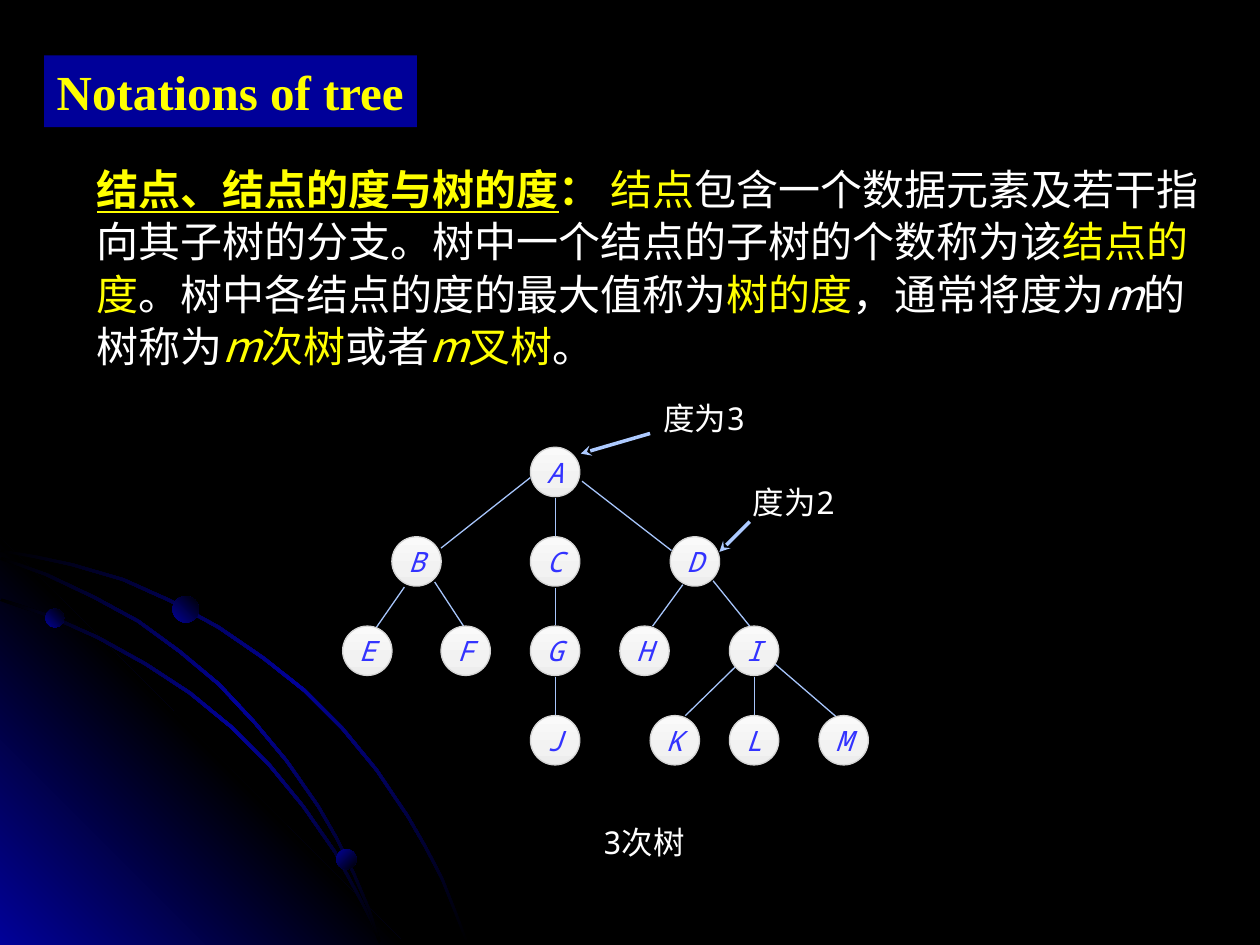
import pptx
import pptx.dml.color
import pptx.enum.shapes
import pptx.enum.text
import pptx.oxml
import pptx.oxml.ns
import pptx.util

Pt = pptx.util.Pt
qn = pptx.oxml.ns.qn
ALIGN = pptx.enum.text.PP_ALIGN
ANCHOR = pptx.enum.text.MSO_ANCHOR
SHAPE = pptx.enum.shapes.MSO_SHAPE
STRAIGHT = pptx.enum.shapes.MSO_CONNECTOR.STRAIGHT
NO_FIT = pptx.enum.text.MSO_AUTO_SIZE.NONE

YELLOW, WHITE, BLACK, BLUE = "FFFF00", "FFFFFF", "000000", "010199"
CJK, MONO, SERIF = "Noto Sans CJK SC", "Noto Sans Mono", "Times New Roman"

PITCH, NODE = 51.1, 28.2
# Left edge of each node, level by level
LEVELS = [
    {"A": 107.3},
    {"B": 28.1, "C": 107.3, "D": 187.2},
    {"E": 0, "F": 56.2, "G": 107.3, "H": 158.4, "I": 221},
    {"J": 107.3, "K": 175.7, "L": 221, "M": 272.2},
]
# Branches as x1, y1, x2, y2
BRANCHES = [
    (107.3, 17.3, 56.2, 57.6), (121.5, 28.8, 121.5, 51.1), (136.8, 19.4, 187.9, 59),
    (35.3, 79.9, 18.7, 103.7), (52.6, 77, 69.1, 102.2), (121.5, 80.6, 121.5, 101.5),
    (194.4, 78.5, 177.1, 102.2), (211.7, 76.3, 232.6, 102.2),
    (121.5, 131, 121.5, 153.4), (224.6, 125.3, 195.8, 153.4),
    (235.2, 131, 235.2, 153.4), (247, 123.8, 282.2, 154.1),
]
# Degree labels: wording, left and top of the label, arrow ends
DEGREES = [
    ("度为3", 164.2, -31, (175.7, -7.9, 136.1, 3.6)),
    ("度为2", 215.3, 16.6, (232.6, 42.5, 215.3, 59.8)),
]
ARCS = [
    [(0, 8.4), (20.2, 12), (40.3, 16.3), (69.8, 24.9), (97.2, 37.2), (124.6, 52.3),
     (149.8, 69.6), (173.5, 88.3), (195.1, 109.9), (214.6, 133.6), (232.6, 160.3),
     (242.6, 177.6), (252, 195.6), (259.2, 213.6), (266.4, 232.3)],
    [(0, 36.4), (28.1, 45.8), (55.4, 58), (82.8, 73.2), (108, 89.7), (131.8, 109.2),
     (153.4, 130.8), (172.8, 154.5), (190.8, 180.4), (205.2, 207.1), (211.7, 220),
     (216.7, 232.3)],
    [(0, 12.7), (25.9, 22), (53.3, 35), (78.5, 48.7), (102.2, 66), (124.6, 84.7),
     (145.4, 107), (163.4, 128.6), (181.4, 154.5), (192.2, 173.2), (201.6, 192.7),
     (210.2, 212.8), (216.7, 232.3)],
]
# Dots on the arcs: left, top, diameter, gradient angle
DOTS = [(25.9, 40.8, 10.8, 315), (192.2, 178.3, 11.5, 45), (98.6, 33.6, 15.1, 315)]


def rgb(value):
    return pptx.dml.color.RGBColor.from_string(value)


def apply(target, values):
    for key, value in values.items():
        setattr(target, key, value)


def place(item, left, top, width, height):
    apply(item, {"left": Pt(left), "top": Pt(top), "width": Pt(width), "height": Pt(height)})


def add_run(paragraph, wording, face, size, color, **extra):
    run = paragraph.add_run()
    run.text = wording
    apply(run.font, {"name": face, "size": Pt(size), **extra})
    run.font.color.rgb = rgb(color)
    east_asian = pptx.oxml.parse_xml(
        f'<a:ea xmlns:a="{pptx.oxml.ns.nsuri("a")}" typeface="{CJK}"/>')
    run.font._element.find(qn("a:latin")).addnext(east_asian)


def set_gradient(item, stops, angle):
    item.shadow.inherit = False
    item.fill.background()
    marks = "".join(f'<a:gs pos="{pos * 1000}"><a:srgbClr val="{color}"/></a:gs>'
                    for pos, color in stops)
    gradient = pptx.oxml.parse_xml(
        f'<a:gradFill xmlns:a="{pptx.oxml.ns.nsuri("a")}" rotWithShape="1">'
        f'<a:gsLst>{marks}</a:gsLst><a:lin ang="{angle * 60000}" scaled="0"/></a:gradFill>')
    properties = item._element.spPr
    properties.replace(properties.find(qn("a:noFill")), gradient)


def add_line(slide, left, top, ends, color, width, arrow=False):
    x1, y1, x2, y2 = ends
    line = slide.shapes.add_connector(
        STRAIGHT, Pt(left + x1), Pt(top + y1), Pt(left + x2), Pt(top + y2))
    line.line.color.rgb = rgb(color)
    line.line.width = Pt(width)
    if arrow:
        pptx.oxml.ns  # arrowhead sits in the line element
        head = line.line._get_or_add_ln().makeelement(qn("a:tailEnd"), {"type": "stealth"})
        line.line._get_or_add_ln().append(head)
    properties = line._element.spPr
    properties.append(properties.makeelement(qn("a:effectLst"), {}))


def add_label(slide, wording, left, top, width):
    label = slide.shapes.add_textbox(Pt(left), Pt(top), Pt(width), Pt(29))
    label.text_frame.word_wrap = True
    paragraph = label.text_frame.paragraphs[0]
    paragraph.alignment = ALIGN.CENTER
    add_run(paragraph, wording, MONO, 18, WHITE)


def add_outline(slide, left, top, points, stops, angle):
    corners = [(Pt(left + x), Pt(top + y)) for x, y in points]
    builder = slide.shapes.build_freeform(*corners[0])
    builder.add_line_segments(corners[1:], close=True)
    outline = builder.convert_to_shape()
    set_gradient(outline, stops, angle)
    outline.line.fill.background()


def add_orbits(slide, left, top):
    # Glowing corner
    add_outline(slide, left, top, [(0, 0), (232, 233), (0, 233)],
                [(0, BLUE), (50, BLACK), (100, BLUE)], 315)
    # Thin arcs, each closed along a slightly shifted edge
    for arc in ARCS:
        band = arc + [(x + 1, y - 1.4) for x, y in reversed(arc)]
        add_outline(slide, left, top, band, [(0, BLACK), (50, BLUE), (100, BLACK)], 45)
    for x, y, size, angle in DOTS:
        dot = slide.shapes.add_shape(SHAPE.OVAL, Pt(left + x), Pt(top + y), Pt(size), Pt(size))
        set_gradient(dot, [(0, BLUE), (100, BLACK)], angle)
        dot.line.fill.background()


def add_title(slide, left, top, width, height):
    title = slide.shapes.title
    place(title, left, top, width, height)
    title.fill.solid()
    title.fill.fore_color.rgb = rgb("000099")
    apply(title.text_frame, {"auto_size": NO_FIT, "word_wrap": False,
                             "vertical_anchor": ANCHOR.TOP})
    heading = title.text_frame.paragraphs[0]
    heading.alignment = ALIGN.LEFT
    add_run(heading, "Notations of tree", SERIF, 28, YELLOW, bold=True)


def add_definition(slide, left, top, width, height):
    body = slide.placeholders[1]
    place(body, left, top, width, height)
    body.text_frame.auto_size = NO_FIT
    definition = body.text_frame.paragraphs[0]
    layout = definition._p.get_or_add_pPr()
    apply(definition, {"line_spacing": Pt(30), "space_before": Pt(0)})
    layout.set("marL", "0")
    layout.set("indent", "0")
    layout.append(layout.makeelement(qn("a:buNone"), {}))
    term, variable = {"color": YELLOW}, {"color": YELLOW, "italic": True}
    plain = {"color": WHITE}
    for wording, look in [
        ("结点、结点的度与树的度", {**term, "bold": True, "underline": True}),
        ("： ", {**term, "bold": True}),
        ("结点", term),
        ("包含一个数据元素及若干指向其子树的分支。树中一个结点的子树的个数称为该", plain),
        ("结点的度", term),
        ("。树中各结点的度的最大值称为", plain),
        ("树的度", term),
        ("，通常将度为", plain),
        ("m", {**plain, "italic": True}),
        ("的树称为", plain),
        ("m", variable), ("次树", term), ("或者", plain),
        ("m", variable), ("叉树", term), ("。", plain),
    ]:
        add_run(definition, wording, CJK, 24, **look)


def add_tree(slide, left, top):
    for ends in BRANCHES:
        add_line(slide, left, top, ends, "A7C5FB", 0.75)
    # Nodes
    for depth, level in enumerate(LEVELS):
        for letter, x in level.items():
            node = slide.shapes.add_shape(SHAPE.OVAL, Pt(left + x), Pt(top + depth * PITCH),
                                          Pt(NODE), Pt(NODE))
            set_gradient(node, [(0, "EDEDED"), (35, "F2F2F2"), (100, "FAFAFA")], 270)
            node.line.color.rgb = rgb("D5D5D5")
            node.line.width = Pt(0.75)
            apply(node.text_frame, {"word_wrap": False, "vertical_anchor": ANCHOR.MIDDLE})
            paragraph = node.text_frame.paragraphs[0]
            paragraph.alignment = ALIGN.CENTER
            add_run(paragraph, letter, MONO, 16, "3333FF", italic=True)
    # Degree labels and the caption
    for wording, x, y, ends in DEGREES:
        add_line(slide, left, top, ends, "ADCAFF", 2, arrow=True)
        add_label(slide, wording, left + x, top + y, 85)
    add_label(slide, "3次树", left + 118.8, top + 211, 106.6)


def main():
    deck = pptx.Presentation()
    apply(deck, {"slide_width": Pt(720), "slide_height": Pt(540)})
    slide = deck.slides.add_slide(deck.slide_layouts[1])
    slide.background.fill.solid()
    slide.background.fill.fore_color.rgb = rgb(BLACK)
    add_orbits(slide, 0, 307)
    add_title(slide, 25.2, 31.7, 213.1, 41)
    add_definition(slide, 48.2, 88.6, 650.2, 128.2)
    add_tree(slide, 195.8, 255.6)
    deck.save("out.pptx")


if __name__ == "__main__":
    main()
